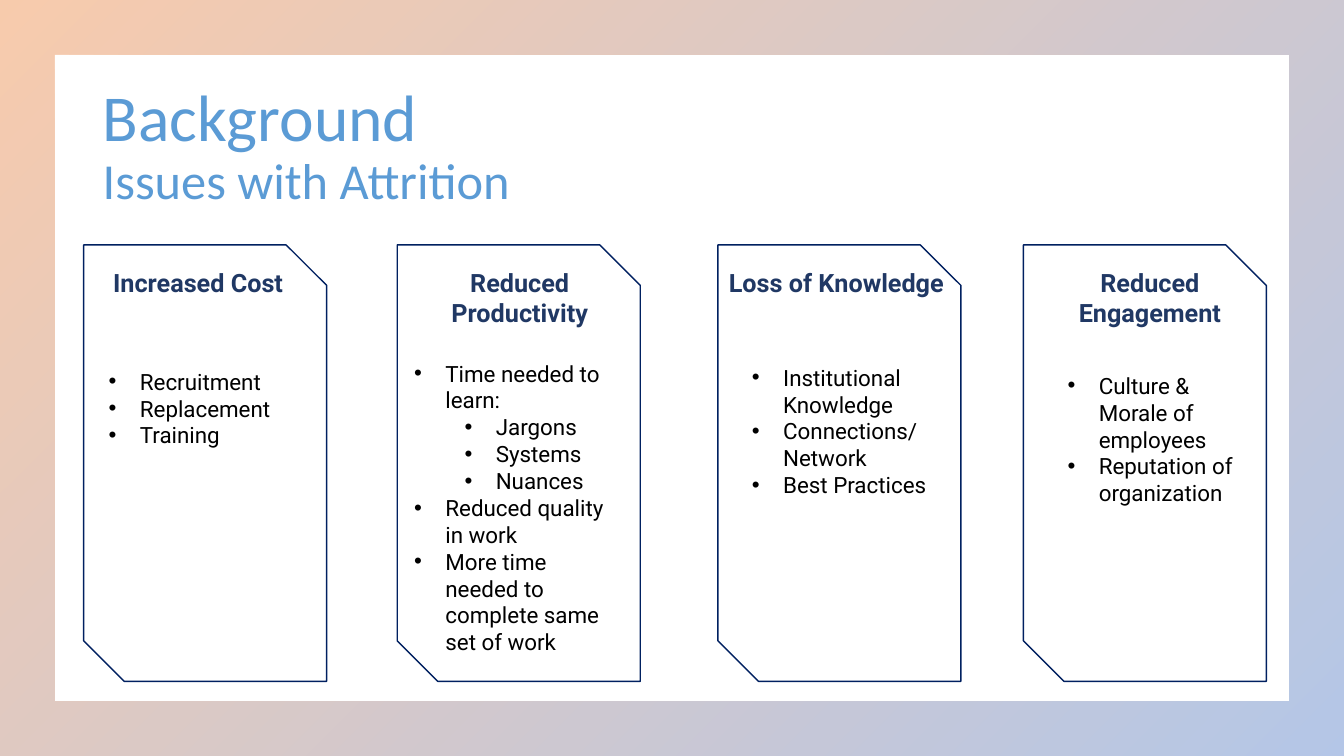
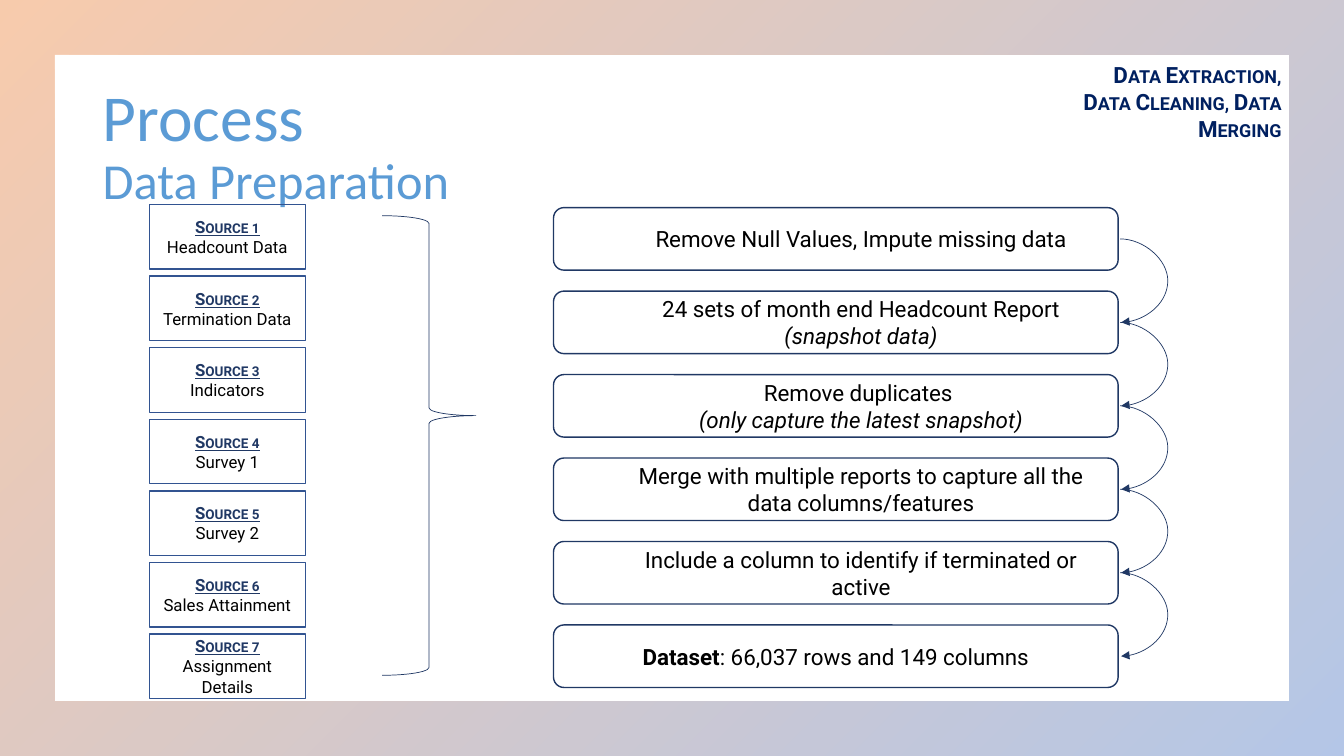
import pptx
import pptx.util
import pptx.dml.color
import pptx.enum.shapes
import pptx.enum.text
import pptx.oxml
import pptx.oxml.ns

Inches = pptx.util.Inches
Pt = pptx.util.Pt
SHAPE = pptx.enum.shapes.MSO_SHAPE
ALIGN = pptx.enum.text.PP_ALIGN
ANCHOR = pptx.enum.text.MSO_ANCHOR

COLORS = {
    "orange": "ED7D31", "blue": "4472C4", "sky": "5B9BD5", "navy": "002060",
    "dark": "203864", "source": "325491", "black": "000000",
}
BODY_FONT = "Roboto"
TITLE_FONT = "Calibri"

ISSUES = [
    {"box": (0.83, 2.43, 2.41, 4.33), "heading": "Increased Cost", "heading_dx": -0.11,
     "points_box": (0.15, 1.17, 2.1, 0.94),
     "points": [(0, "Recruitment"), (0, "Replacement"), (0, "Training")]},
    {"box": (3.94, 2.43, 2.41, 4.33), "heading": "Reduced Productivity", "heading_dx": -0.03,
     "points_box": (0.07, 1.09, 2.27, 3.06),
     "points": [(0, "Time needed to learn:"), (1, "Jargons"), (1, "Systems"),
                (1, "Nuances"), (0, "Reduced quality in work"),
                (0, "More time needed to complete same set of work")]},
    {"box": (7.12, 2.43, 2.41, 4.33), "heading": "Loss of Knowledge", "heading_dx": -0.07,
     "points_box": (0.24, 1.13, 2.06, 1.45),
     "points": [(0, "Institutional Knowledge"), (0, "Connections/ Network"),
                (0, "Best Practices")]},
    {"box": (10.15, 2.43, 2.41, 4.33), "heading": "Reduced Engagement", "heading_dx": 0.01,
     "points_box": (0.34, 1.21, 1.86, 1.72),
     "points": [(0, "Culture & Morale of employees"), (0, "Reputation of organization")]},
]
SOURCES = ["Headcount Data", "Termination Data", "Indicators", "Survey 1", "Survey 2",
           "Sales Attainment", "Assignment Details"]
PLAIN, ITALIC, BOLD = {}, {"italic": True}, {"bold": True}
STEPS = [
    [[("Remove Null Values, Impute missing data", PLAIN)]],
    [[("24 sets of month end Headcount Report ", PLAIN), ("(snapshot data)", ITALIC)]],
    [[("Remove duplicates ", PLAIN)], [("(only capture the latest snapshot)", ITALIC)]],
    [[("Merge with multiple reports to capture all the data columns/features", PLAIN)]],
    [[("Include a column to identify if terminated or active", PLAIN)]],
    [[("Dataset", BOLD), (": 66,037 rows and 149 columns", PLAIN)]],
]


def rgb(color):
    """Return the named colour as an RGBColor."""
    return pptx.dml.color.RGBColor.from_string(COLORS[color])


def add_xml(parent, tag, **attributes):
    """Append a DrawingML child element and return it."""
    child = pptx.oxml.parse_xml(f"<a:{tag} {pptx.oxml.ns.nsdecls('a')}/>")
    for key, value in attributes.items():
        child.set(key, str(value))
    parent.append(child)
    return child


def set_gradient(fill, element, angle, stops):
    """Give a fill two stops of (colour, opacity percent)."""
    fill.gradient()
    fill.gradient_angle = angle
    for position, (stop, (color, _)) in enumerate(zip(fill.gradient_stops, stops)):
        stop.position = position
        stop.color.rgb = rgb(color)
    for value, (_, opacity) in zip(element.xpath(".//a:gs/a:srgbClr"), stops):
        if opacity < 100:
            add_xml(value, "alpha", val=opacity * 1000)


def add_outline(slide, kind, box, color, width):
    """Add an unfilled preset shape with a coloured outline."""
    outline = slide.shapes.add_shape(kind, *map(Inches, box))
    outline.shadow.inherit = False
    outline.fill.background()
    outline.line.color.rgb = rgb(color)
    outline.line.width = Pt(width)
    return outline


def add_text_frame(slide, box):
    """Add a wrapping text box and return its text frame."""
    frame = slide.shapes.add_textbox(*map(Inches, box)).text_frame
    frame.word_wrap = True
    return frame


def next_paragraph(frame, index, align=ALIGN.LEFT):
    """Return the first paragraph, or a new one, aligned."""
    paragraph = frame.add_paragraph() if index else frame.paragraphs[0]
    paragraph.alignment = align
    return paragraph


def add_run(paragraph, text, size, color="black", bold=False, italic=False,
            underline=False, small_caps=False):
    """Add one run in the body font."""
    run = paragraph.add_run()
    run.text = text
    font = run.font
    font.name, font.size = BODY_FONT, Pt(size)
    font.bold, font.italic, font.underline = bold, italic, underline
    font.color.rgb = rgb(color)
    if small_caps:
        run._r.get_or_add_rPr().set("cap", "small")


def add_base(deck, title, subtitle):
    """Add a slide with the gradient border and two-line title."""
    slide = deck.slides.add_slide(deck.slide_layouts[6])
    border = slide.shapes.add_shape(SHAPE.FRAME, 0, 0, deck.slide_width, deck.slide_height)
    border.adjustments[0] = 0.072
    border.shadow.inherit = False
    border.line.fill.background()
    set_gradient(border.fill, border._element, 315, [("orange", 40), ("blue", 40)])
    frame = add_text_frame(slide, (0.92, 0.74, 11.5, 1.45))
    frame.vertical_anchor = ANCHOR.MIDDLE
    paragraph = next_paragraph(frame, 0)
    paragraph.line_spacing = 0.9
    for index, (text, size) in enumerate([(title, 46.8), (subtitle, 36)]):
        if index:
            paragraph.add_line_break()
        run = paragraph.add_run()
        run.text = text
        run.font.name, run.font.size = TITLE_FONT, Pt(size)
        set_gradient(run.font.fill, run._r, 0, [("sky", 100), ("blue", 70)])
    return slide


def add_issue(slide, box, heading, heading_dx, points_box, points):
    """Draw an issue card with its heading and bullets."""
    left, top, width, height = box
    add_outline(slide, SHAPE.SNIP_2_DIAG_RECTANGLE, box, "navy", 1)
    frame = add_text_frame(slide, (left + heading_dx, top + 0.17, 2.49, 0.71))
    add_run(next_paragraph(frame, 0, ALIGN.CENTER), heading, 18, "dark", bold=True)
    dx, dy, points_width, points_height = points_box
    frame = add_text_frame(slide, (left + dx, top + dy, points_width, points_height))
    for index, (level, text) in enumerate(points):
        paragraph = next_paragraph(frame, index)
        paragraph.level = level
        properties = paragraph._p.get_or_add_pPr()
        properties.set("marL", str(Inches(0.31 + 0.5 * level)))
        properties.set("indent", str(Inches(-0.31)))
        add_xml(properties, "buFont", typeface="Arial")
        add_xml(properties, "buChar", char="•")
        add_run(paragraph, text, 16)


def add_sources(slide, box, pitch):
    """Stack the numbered source boxes downward from the first box."""
    left, top, width, height = box
    for index, source in enumerate(SOURCES):
        card = add_outline(slide, SHAPE.RECTANGLE,
                           (left, top + index * pitch, width, height), "source", 1)
        frame = card.text_frame
        frame.vertical_anchor = ANCHOR.MIDDLE
        add_run(next_paragraph(frame, 0, ALIGN.CENTER), f"Source {index + 1}", 12, "dark",
                bold=True, underline=True, small_caps=True)
        add_run(next_paragraph(frame, 1, ALIGN.CENTER), source, 12)


def add_step_arrow(slide, left, top, drop):
    """Draw a curved arrow bulging right from one step to the next."""
    arrow = slide.shapes.add_connector(
        pptx.enum.shapes.MSO_CONNECTOR.CURVE,
        *map(Inches, (left, top, left + 0.01, top + drop)))
    arrow.line.color.rgb = rgb("dark")
    arrow.line.width = Pt(0.5)
    add_xml(arrow.line._get_or_add_ln(), "tailEnd", type="triangle")
    properties = arrow._element.spPr
    add_xml(properties, "effectLst")
    guides = properties.xpath("./a:prstGeom/a:avLst")[0]
    add_xml(guides, "gd", name="adj1", fmla="val 4800000")


def add_steps(slide, box, bottom_top):
    """Spread the preparation steps evenly and link them with arrows."""
    left, top, width, height = box
    last = len(STEPS) - 1
    pitch = (bottom_top - top) / last
    for index, paragraphs in enumerate(STEPS):
        step_top = top + index * pitch
        card = add_outline(slide, SHAPE.ROUNDED_RECTANGLE,
                           (left, step_top, width, height), "dark", 1)
        frame = card.text_frame
        frame.vertical_anchor = ANCHOR.MIDDLE
        for line, runs in enumerate(paragraphs):
            paragraph = next_paragraph(frame, line, ALIGN.CENTER)
            if index < last:
                paragraph.level = 1
                paragraph._p.get_or_add_pPr().set("marL", str(Inches(0.5)))
            for text, style in runs:
                add_run(paragraph, text, 16, **style)
    for index in range(last):
        add_step_arrow(slide, left + width + 0.02, top + height / 2 + index * pitch, pitch)


def build_background(deck):
    """Build the slide of attrition issues."""
    slide = add_base(deck, "Background", "Issues with Attrition")
    for issue in ISSUES:
        add_issue(slide, **issue)


def build_process(deck):
    """Build the slide of data preparation."""
    slide = add_base(deck, "Process", "Data Preparation")
    frame = add_text_frame(slide, (10.61, 0.56, 2.2, 0.91))
    add_run(next_paragraph(frame, 0, ALIGN.RIGHT),
            "Data Extraction, Data Cleaning, Data Merging", 16, "navy",
            bold=True, small_caps=True)
    add_sources(slide, (1.48, 2.03, 1.55, 0.64), 0.71)
    brace = add_outline(slide, SHAPE.RIGHT_BRACE, (3.79, 2.14, 0.93, 4.56), "dark", 0.5)
    brace.adjustments[0] = 0.083
    brace.adjustments[1] = 0.435
    add_steps(slide, (5.49, 2.06, 5.6, 0.62), 6.2)


def main():
    """Build and save the deck."""
    deck = pptx.Presentation()
    deck.slide_width, deck.slide_height = Inches(13.33), Inches(7.5)
    build_background(deck)
    build_process(deck)
    deck.save("out.pptx")


if __name__ == "__main__":
    main()
